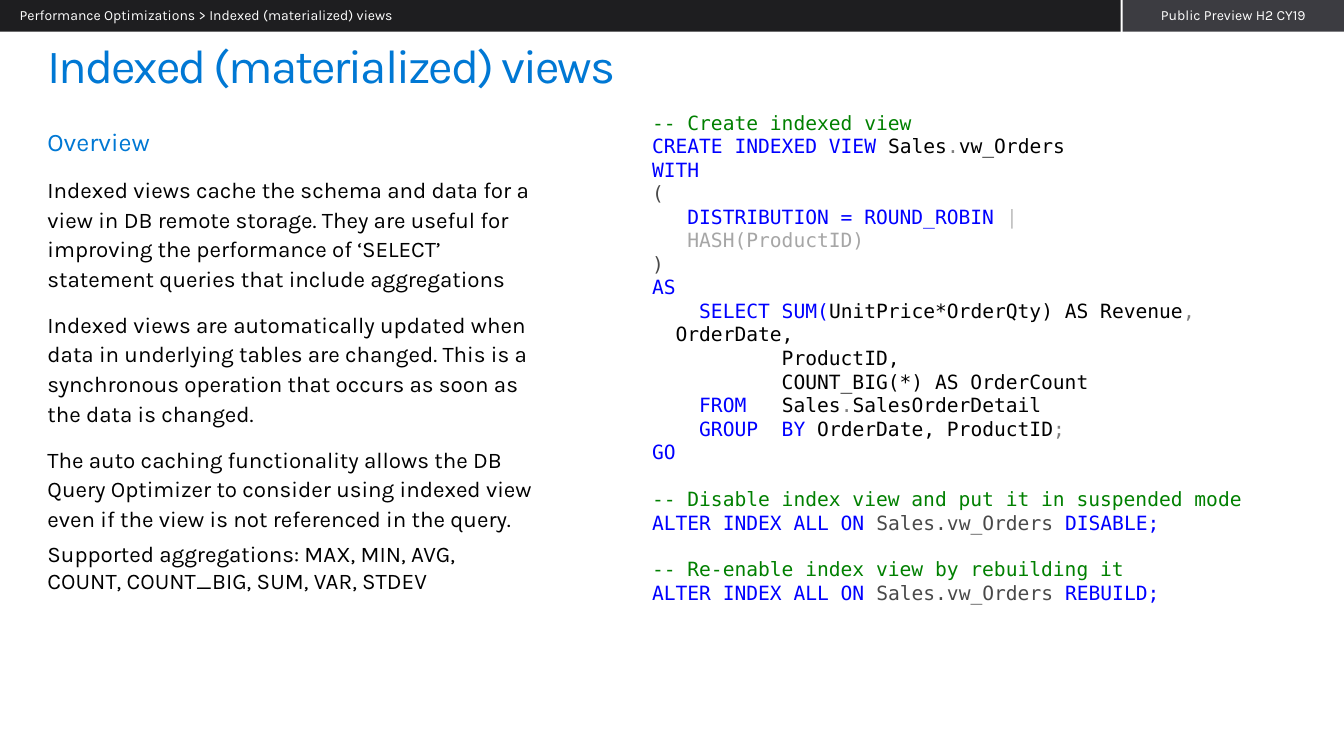
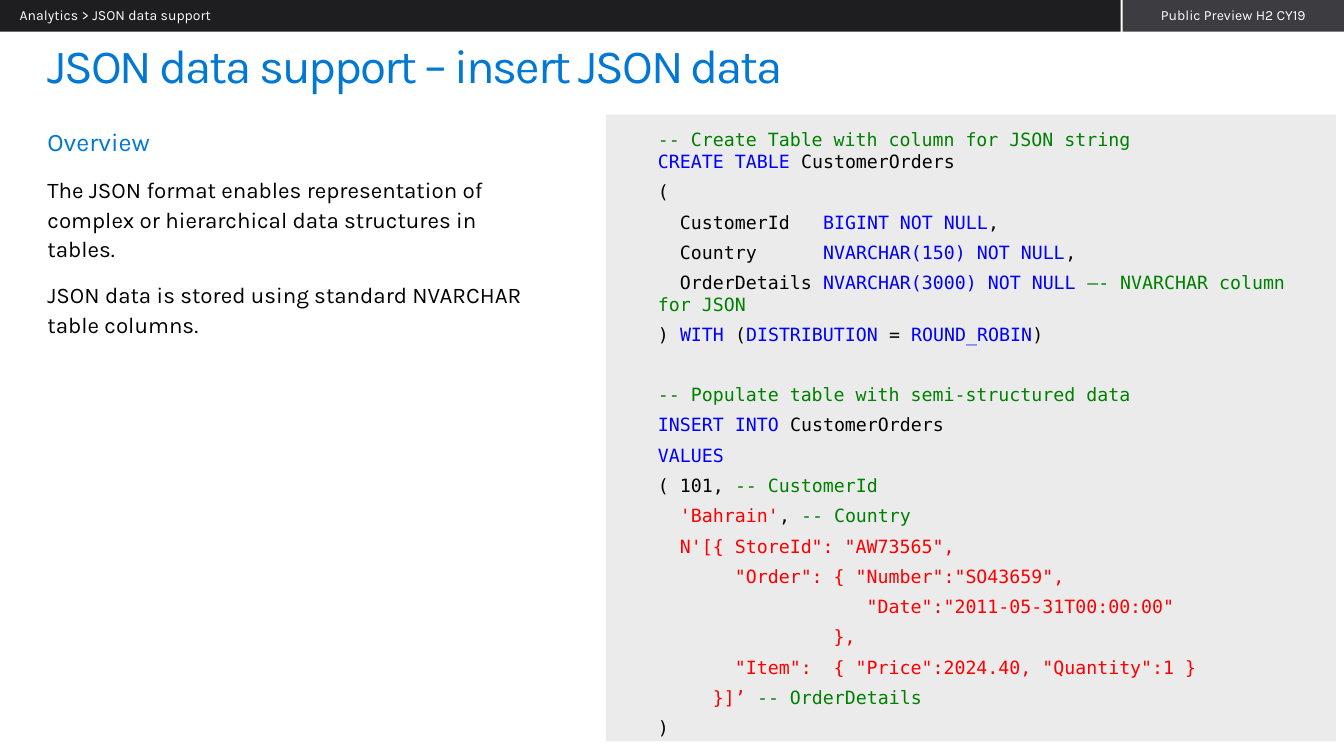
"""Build two slides on database features, each with an overview beside its SQL sample."""
from collections import namedtuple
from dataclasses import dataclass

from pptx import Presentation
from pptx.dml.color import RGBColor
from pptx.enum.shapes import MSO_SHAPE
from pptx.enum.text import MSO_ANCHOR, PP_ALIGN
from pptx.util import Pt

Box = namedtuple("Box", "left top width height")


@dataclass(frozen=True)
class Theme:
    """Colours, fonts and type sizes shared by the slides."""

    accent: str = "0078D4"
    text: str = "000000"
    on_dark: str = "FFFFFF"
    breadcrumb: str = "1E1E20"
    release: str = "3C3C41"
    panel: str = "EBEBEB"
    font: str = "Karla"
    code_font: str = "DejaVu Sans Mono"
    title_size: float = 34.7
    heading_size: float = 18.4
    body_size: float = 16.3
    band_size: float = 10.2
    paragraph_gap: float = 6.1


THEME = Theme()
PLAIN, KEYWORD, COMMENT, STRING = "000000", "0000FF", "008000", "FF0000"
BRACKET, PUNCTUATION, OPTION_BAR, OPTION = "494949", "808080", "BFBFBF", "A6A6A6"

SLIDE = Box(0, 0, 979.2, 550.8)
BAND = Box(0, 0, 979.2, 23)
TITLE = Box(34.6, 18, 910.8, 59)
OVERVIEW = Box(34.6, 90, 355, 410)
VIEW_CODE = Box(468, 77, 489.6, 378)
JSON_PANEL = Box(441.4, 83.5, 532, 456.5)

VIEW_OVERVIEW = [
    "Indexed views cache the schema and data for a view in DB remote storage. They are useful for "
    "improving the performance of ‘SELECT’ statement queries that include aggregations",
    "Indexed views are automatically updated when data in underlying tables are changed. This is a "
    "synchronous operation that occurs as soon as the data is changed.",
    "The auto caching functionality allows the DB Query Optimizer to consider using indexed view "
    "even if the view is not referenced in the query.",
]
VIEW_AGGREGATIONS = "Supported aggregations: MAX, MIN, AVG, COUNT, COUNT_BIG, SUM, VAR, STDEV"
JSON_OVERVIEW = [
    "The JSON format enables representation of complex or hierarchical data structures in tables.",
    "JSON data is stored using standard NVARCHAR table columns.",
]


def alter_view(action):
    """Return the coloured statement that applies an action to the view."""
    return [("ALTER INDEX ALL ON ", KEYWORD), ("Sales.vw_Orders ", BRACKET), (action, KEYWORD)]


VIEW_SQL = [
    [
        [("-- Create indexed view", COMMENT)],
        [("CREATE INDEXED VIEW ", KEYWORD), ("Sales", PLAIN), (".", PUNCTUATION), ("vw_Orders", PLAIN)],
        [("WITH", KEYWORD)],
        [("(", BRACKET)],
        [("   DISTRIBUTION = ROUND_ROBIN ", KEYWORD), ("|", OPTION_BAR)],
        [("   HASH(ProductID)", OPTION)],
        [(")", BRACKET)],
        [("AS", KEYWORD)],
        [("    SELECT SUM(", KEYWORD), ("UnitPrice*OrderQty) AS Revenue", PLAIN), (",", PUNCTUATION)],
        [("  OrderDate,", PLAIN)],
        [("           ProductID,", PLAIN)],
        [("           COUNT_BIG(*) AS OrderCount", PLAIN)],
        [("    FROM", KEYWORD), ("   Sales", PLAIN), (".", PUNCTUATION), ("SalesOrderDetail", PLAIN)],
        [("    GROUP  BY ", KEYWORD), ("OrderDate, ProductID", PLAIN), (";", PUNCTUATION)],
        [("GO", KEYWORD)],
    ],
    [[("-- Disable index view and put it in suspended mode", COMMENT)], alter_view("DISABLE;")],
    [[("-- Re-enable index view by rebuilding it", COMMENT)], alter_view("REBUILD;")],
]

JSON_SQL = [
    [
        [("-- Create Table with column for JSON string", COMMENT)],
        [("CREATE TABLE ", KEYWORD), ("CustomerOrders", PLAIN)],
        [("(", PLAIN)],
        [("  CustomerId   ", PLAIN), ("BIGINT NOT NULL", KEYWORD), (",", PLAIN)],
        [("  Country      ", PLAIN), ("NVARCHAR(150) NOT NULL", KEYWORD), (",", PLAIN)],
        [("  OrderDetails ", PLAIN), ("NVARCHAR(3000) NOT NULL ", KEYWORD),
         ("–- NVARCHAR column for JSON", COMMENT)],
        [(") ", PLAIN), ("WITH", KEYWORD), (" (", PLAIN), ("DISTRIBUTION", KEYWORD),
         (" = ", PLAIN), ("ROUND_ROBIN", KEYWORD), (")", PLAIN)],
    ],
    [
        [("-- Populate table with semi-structured data", COMMENT)],
        [("INSERT INTO ", KEYWORD), ("CustomerOrders", PLAIN)],
        [("VALUES", KEYWORD)],
        [("( 101, ", PLAIN), ("-- CustomerId", COMMENT)],
        [("  'Bahrain'", STRING), (", ", PLAIN), ("-- Country", COMMENT)],
        [("  N'[{ StoreId\": \"AW73565\",", STRING)],
        [("       \"Order\": { \"Number\":\"SO43659\",", STRING)],
        [("                   \"Date\":\"2011-05-31T00:00:00\"", STRING)],
        [("                },", STRING)],
        [("       \"Item\":  { \"Price\":2024.40, \"Quantity\":1 }", STRING)],
        [("     }]’ ", STRING), ("-- OrderDetails", COMMENT)],
        [(")", PLAIN)],
    ],
]


def style(run, size, color, font=THEME.font):
    """Set the typeface, size and colour of a run."""
    run.font.name = font
    run.font.size = Pt(size)
    run.font.color.rgb = RGBColor.from_string(color)


def add_text(slide, box, top_inset=0):
    """Add a wrapping text box without side insets and return its frame."""
    frame = slide.shapes.add_textbox(*map(Pt, box)).text_frame
    frame.word_wrap = True
    frame.margin_left = frame.margin_right = frame.margin_bottom = 0
    frame.margin_top = Pt(top_inset)
    return frame


def add_block(slide, box, fill):
    """Add a flat filled rectangle."""
    block = slide.shapes.add_shape(MSO_SHAPE.RECTANGLE, *map(Pt, box))
    block.shadow.inherit = False
    block.fill.solid()
    block.fill.fore_color.rgb = RGBColor.from_string(fill)
    block.line.fill.background()
    return block


def add_band(slide, box, breadcrumb):
    """Add the top band with the breadcrumb and the release label."""
    release_width, gap = 161.3, 1.4
    release_left = box.left + box.width - release_width
    parts = [
        (box._replace(left=release_left, width=release_width), THEME.release,
         "Public Preview H2 CY19", PP_ALIGN.CENTER),
        (box._replace(width=box.width - release_width - gap), THEME.breadcrumb,
         breadcrumb, PP_ALIGN.LEFT),
    ]
    for part, fill, label, alignment in parts:
        frame = add_block(slide, part, fill).text_frame
        frame.word_wrap = True
        frame.vertical_anchor = MSO_ANCHOR.MIDDLE
        frame.margin_left = frame.margin_right = Pt(14.4)
        frame.margin_top = frame.margin_bottom = 0
        line = frame.paragraphs[0]
        line.text = label
        line.alignment = alignment
        line.line_spacing = 0.9
        style(line.runs[0], THEME.band_size, THEME.on_dark)


def add_title(slide, box, title):
    """Add the tightly spaced slide title."""
    line = add_text(slide, box, top_inset=13).paragraphs[0]
    line.text = title
    line.line_spacing = 0.9
    style(line.runs[0], THEME.title_size, THEME.accent)
    line.runs[0]._r.get_or_add_rPr().set("spc", "-150")


def add_overview(slide, box, statements, closing=None):
    """Add the overview heading, its statements and an optional tight closing line."""
    frame = add_text(slide, box)
    heading = frame.paragraphs[0]
    heading.text = "Overview"
    style(heading.runs[0], THEME.heading_size, THEME.accent)
    for statement in statements:
        paragraph = frame.add_paragraph()
        paragraph.text = statement
        paragraph.space_before = Pt(THEME.paragraph_gap)
        style(paragraph.runs[0], THEME.body_size, THEME.text)
    for paragraph in frame.paragraphs:
        paragraph.line_spacing = 1.1
        paragraph.space_after = Pt(THEME.paragraph_gap)
    if closing:
        paragraph = frame.add_paragraph()
        paragraph.text = closing
        style(paragraph.runs[0], THEME.body_size, THEME.text)


def add_code(slide, box, statements, size, line_gap, statement_gap):
    """Add coloured code, with a wider gap between statements."""
    frame = add_text(slide, box, top_inset=3.6)
    frame.margin_left = frame.margin_right = Pt(7.2)
    lines = [(line, index) for statement in statements for index, line in enumerate(statement)]
    for position, (line, index) in enumerate(lines):
        paragraph = frame.add_paragraph() if position else frame.paragraphs[0]
        if position and index == 0:
            paragraph.space_before = Pt(statement_gap)
        if position:
            paragraph.space_after = Pt(line_gap)
        for text, color in line:
            run = paragraph.add_run()
            run.text = text
            style(run, size, color, THEME.code_font)


def add_code_panel(slide, box, statements):
    """Add code on a shaded panel."""
    add_block(slide, box, THEME.panel)
    inner = Box(box.left + 30.9, box.top + 6.5, 495.4, box.height - 18.7)
    add_code(slide, inner, statements, size=13.3, line_gap=THEME.paragraph_gap, statement_gap=21.6)


def add_frame(deck, title, breadcrumb):
    """Add a slide with the shared title and top band."""
    slide = deck.slides.add_slide(deck.slide_layouts[6])
    add_title(slide, TITLE, title)
    add_band(slide, BAND, breadcrumb)
    return slide


def main():
    """Build and save the deck."""
    deck = Presentation()
    deck.slide_width, deck.slide_height = Pt(SLIDE.width), Pt(SLIDE.height)

    views = add_frame(deck, "Indexed (materialized) views",
                      "Performance Optimizations > Indexed (materialized) views")
    add_overview(views, OVERVIEW, VIEW_OVERVIEW, VIEW_AGGREGATIONS)
    add_code(views, VIEW_CODE, VIEW_SQL, size=14.3, line_gap=0, statement_gap=17)

    json_support = add_frame(deck, "JSON data support – insert JSON data",
                             "Analytics > JSON data support")
    add_overview(json_support, OVERVIEW, JSON_OVERVIEW)
    add_code_panel(json_support, JSON_PANEL, JSON_SQL)

    deck.save("out.pptx")


if __name__ == "__main__":
    main()
